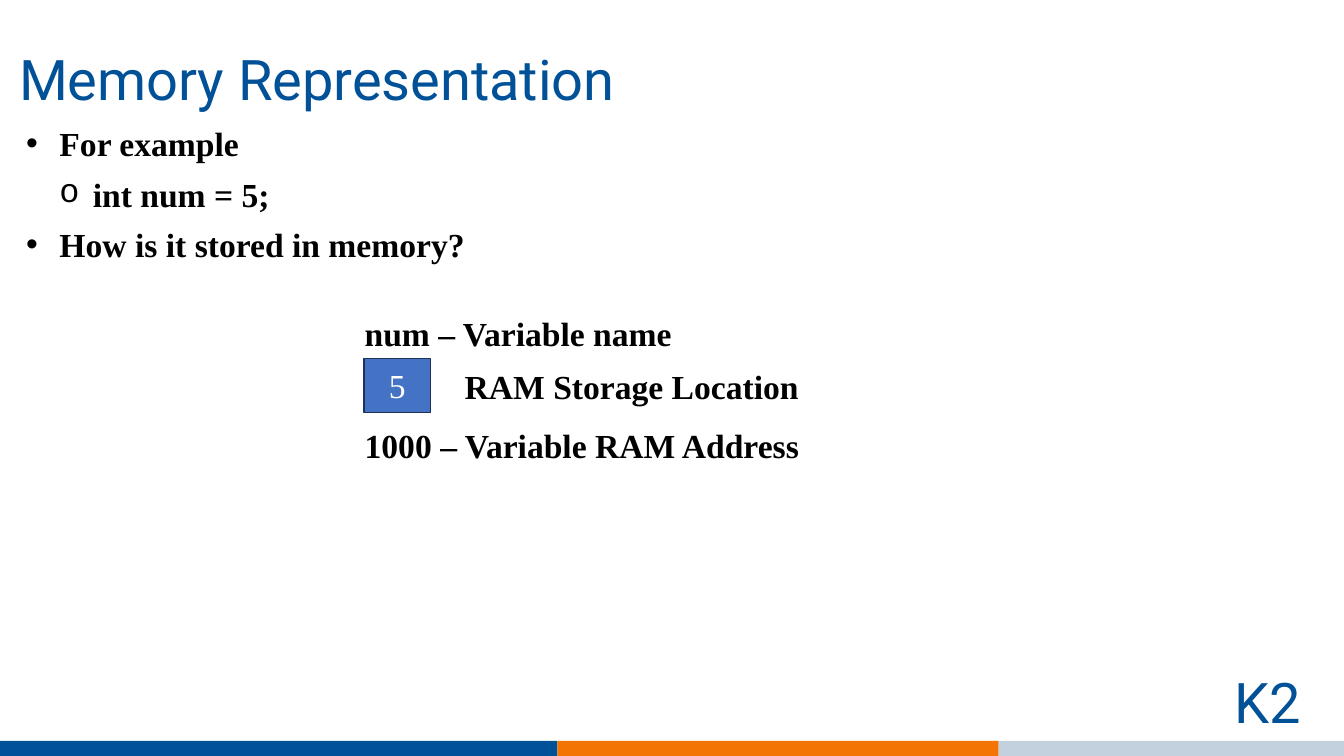
"""Build the slide on how a variable is held in memory."""
from lxml import etree
from pptx import Presentation
from pptx.dml.color import RGBColor
from pptx.enum.shapes import MSO_SHAPE
from pptx.enum.text import MSO_ANCHOR, PP_ALIGN
from pptx.oxml.ns import qn
from pptx.util import Cm, Pt

RECT = MSO_SHAPE.RECTANGLE
TOP, MIDDLE = MSO_ANCHOR.TOP, MSO_ANCHOR.MIDDLE
LEFT, CENTER, JUSTIFY = PP_ALIGN.LEFT, PP_ALIGN.CENTER, PP_ALIGN.JUSTIFY

WIDE, HIGH = 33.87, 19.05
HEADS = [
    ("Memory Representation", (0.48, 0.84, 21.62, 1.85)),
    ("K2", (31.12, 16.54, 1.9, 1.85)),
]
POINTS = [
    ("For example", 0),
    ("int num = 5;", 1),
    ("How is it stored in memory?", 0),
]
LIST_BOX = (0.48, 2.95, 32.39, 3.73)
LABELS = [
    ("num – Variable name", (8.94, 7.75, 9.45, 1.27)),
    ("1000 – Variable RAM Address", (8.94, 10.59, 11.71, 1.27)),
    ("RAM Storage Location", (11.46, 9.09, 11.71, 1.27)),
]
CELL = ("5", (9.17, 9.04, 1.68, 1.35))
BANDS = [("blue", 14.05), ("orange", 25.17), ("grey", WIDE)]
BAND_TOP, BAND_HIGH = 18.67, 0.84
INDENT = 0.84
MARKS = [("Arial", "•"), ("Courier New", "o")]

THEME = {
    "blue": "005197", "orange": "F37402", "grey": "C3D0DD",
    "cell": "4472C4", "edge": "1E3256", "ink": "000000", "white": "FFFFFF",
    "head": "Roboto", "body": "Times New Roman",
    "head_size": 40, "body_size": 24,
}


def tint(name):
    return RGBColor.from_string(THEME[name])


def place(box):
    return [Cm(n) for n in box]


def write(shape, text, font="body", color="ink", bold=False, align=LEFT,
          anchor=TOP, inset=(0.25, 0.13), space=None, after=None):
    frame = shape.text_frame
    frame.word_wrap = True
    frame.vertical_anchor = anchor
    frame.margin_left = frame.margin_right = Cm(inset[0])
    frame.margin_top = frame.margin_bottom = Cm(inset[1])
    frame.text = text
    for par in frame.paragraphs:
        par.alignment = align
        par.line_spacing = space
        par.space_after = after
        style = par.runs[0].font
        style.name = THEME[font]
        style.size = Pt(THEME[font + "_size"])
        style.bold = bold
        style.color.rgb = tint(color)
    return frame


def bullet(par, level):
    face, mark = MARKS[level]
    par.level = level
    props = par._p.get_or_add_pPr()
    props.set("marL", str(Cm(INDENT * (level + 1))))
    props.set("indent", str(-Cm(INDENT)))
    etree.SubElement(props, qn("a:buFont")).set("typeface", face)
    etree.SubElement(props, qn("a:buChar")).set("char", mark)


def block(slide, box, color, edge=None):
    shape = slide.shapes.add_shape(RECT, *place(box))
    shape.shadow.inherit = False
    shape.fill.solid()
    shape.fill.fore_color.rgb = tint(color)
    if edge:
        shape.line.color.rgb = tint(edge)
        shape.line.width = Pt(1)
    else:
        shape.line.fill.background()
    return shape


def main():
    deck = Presentation()
    deck.slide_width, deck.slide_height = Cm(WIDE), Cm(HIGH)
    slide = deck.slides.add_slide(deck.slide_layouts[6])
    add_box = slide.shapes.add_textbox

    left = 0
    for color, right in BANDS:
        block(slide, (left, BAND_TOP, right - left, BAND_HIGH), color)
        left = right

    for text, box in HEADS:
        write(add_box(*place(box)), text, font="head", color="blue",
              inset=(0, 0), space=Pt(56))

    lines = "\n".join(text for text, level in POINTS)
    frame = write(add_box(*place(LIST_BOX)), lines, bold=True, align=JUSTIFY,
                  inset=(0.18, 0.08), space=1.07, after=Pt(5.3))
    for par, (text, level) in zip(frame.paragraphs, POINTS):
        bullet(par, level)

    text, box = CELL
    write(block(slide, box, "cell", "edge"), text, color="white",
          align=CENTER, anchor=MIDDLE)
    for text, box in LABELS:
        write(add_box(*place(box)), text, bold=True)

    deck.save("out.pptx")


if __name__ == "__main__":
    main()
